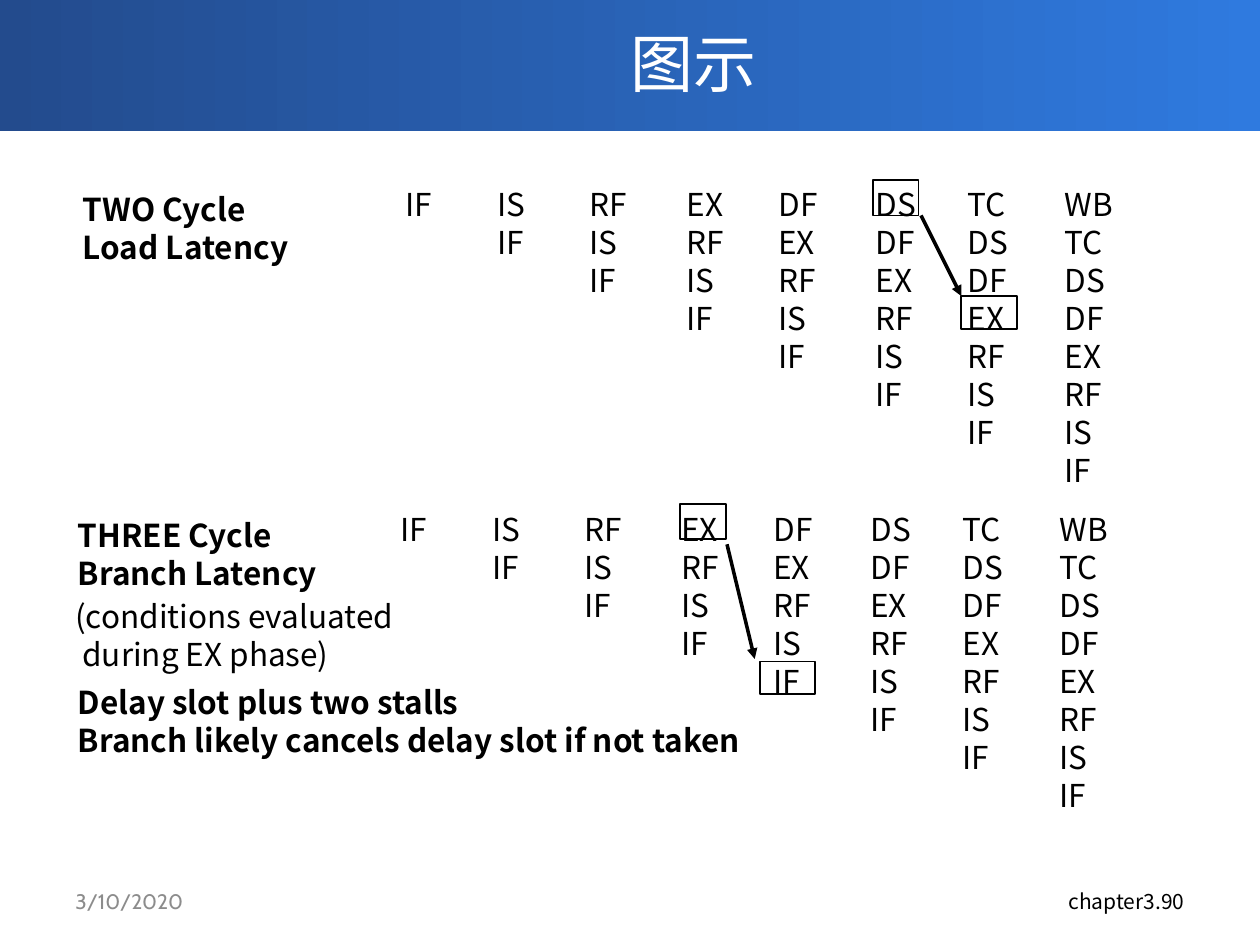
from lxml import etree
from pptx import Presentation
from pptx.dml.color import RGBColor
from pptx.enum.shapes import MSO_CONNECTOR, MSO_SHAPE
from pptx.enum.text import MSO_ANCHOR, MSO_AUTO_SIZE, PP_ALIGN
from pptx.oxml.ns import qn
from pptx.util import Inches, Pt

RECT, LINE = MSO_SHAPE.RECTANGLE, MSO_CONNECTOR.STRAIGHT
MID, TOP = MSO_ANCHOR.MIDDLE, MSO_ANCHOR.TOP
LEFT, MIDDLE, RIGHT = PP_ALIGN.LEFT, PP_ALIGN.CENTER, PP_ALIGN.RIGHT
GROW, FIXED = MSO_AUTO_SIZE.SHAPE_TO_FIT_TEXT, MSO_AUTO_SIZE.NONE

THEME = {
    "sans": "Noto Sans CJK SC", "date": "Cabin",
    "ink": "000000", "pale": "FFFFFF", "grey": "8C8C8C",
    "dark": "234B8D", "light": "2F7ADF",
    "head": 36, "text": 18, "foot": 12, "lead": 21.7,
}

TITLE = "图示"
FOOT = [
    ("3/10/2020", 0.5, LEFT, "date", "grey"),
    ("chapter3.90", 7.17, RIGHT, "sans", "ink"),
]
STAGES = ["IF", "IS", "RF", "EX", "DF", "DS", "TC", "WB"]
COLS = [0, 0.73, 1.46, 2.23, 2.96, 3.73, 4.46, 5.23]
WIDTHS = [0.42, 0.43, 0.5, 0.5, 0.53, 0.55, 0.55, 0.61]
ROW = 0.3
# Labels: lines, left, top, width, bold
PIPES = [
    {
        "at": (3.12, 1.4),
        "marks": [(6.93, 1.43, 0.36, 0.28), (7.63, 2.35, 0.44, 0.26)],
        "arrow": (7.31, 1.71, 7.63, 2.35),
        "labels": [(["TWO Cycle", "Load Latency"], 0.56, 1.44, 1.86, True)],
    },
    {
        "at": (3.08, 3.98),
        "marks": [(5.4, 4, 0.36, 0.28), (6.03, 5.25, 0.44, 0.26)],
        "arrow": (5.77, 4.32, 5.99, 5.23),
        "labels": [
            (["THREE Cycle", "Branch Latency"], 0.52, 4.02, 2.13, True),
            (["(conditions evaluated", " during EX phase)"],
             0.5, 4.67, 2.8, False),
            (["Delay slot plus two stalls",
              "Branch likely cancels delay slot if not taken"],
             0.52, 5.35, 5.66, True),
        ],
    },
]


def put(item, values):
    for name, value in values.items():
        setattr(item, name, value)


def tint(name):
    return RGBColor.from_string(THEME[name])


def span(*sizes):
    return [Inches(size) for size in sizes]


def write(shape, lines, size="text", face="sans", ink="ink", bold=False,
          align=LEFT, lead=None, **frame):
    body = shape.text_frame
    put(body, frame)
    for i, line in enumerate(lines):
        para = body.paragraphs[0] if i == 0 else body.add_paragraph()
        put(para, {"alignment": align, "line_spacing": lead,
                   "space_before": Pt(0), "space_after": Pt(0)})
        run = para.add_run()
        run.text = line
        put(run.font, {"name": THEME[face], "size": Pt(THEME[size]),
                       "bold": bold})
        run.font.color.rgb = tint(ink)
        east = etree.SubElement(run.font._element, qn("a:ea"))
        east.set("typeface", THEME[face])


def note(group, lines, left, top, width, bold=False):
    box = group.shapes.add_textbox(
        *span(left, top, width, 0.1 + ROW * len(lines)))
    write(box, lines, bold=bold, lead=Pt(THEME["lead"]), word_wrap=False,
          auto_size=GROW, vertical_anchor=TOP, margin_top=Inches(0.07),
          margin_bottom=Inches(0.03))


def arrow(group, ends):
    line = group.shapes.add_connector(LINE, *span(*ends))
    line.line.width = Pt(2)
    line.line.color.rgb = tint("ink")
    stroke = line.line._get_or_add_ln()
    etree.SubElement(stroke, qn("a:tailEnd"), type="triangle")
    etree.SubElement(line.element.spPr, qn("a:effectLst"))


def mark(group, place):
    box = group.shapes.add_shape(RECT, *span(*place))
    box.shadow.inherit = False
    box.fill.background()
    box.line.width = Pt(1)
    box.line.color.rgb = tint("ink")


def draw_pipe(slide, pipe):
    group = slide.shapes.add_group_shape()
    left, top = pipe["at"]
    for i, (step, width) in enumerate(zip(COLS, WIDTHS)):
        note(group, STAGES[i::-1], left + step, top, width)
    arrow(group, pipe["arrow"])
    for place in pipe["marks"]:
        mark(group, place)
    for label in pipe["labels"]:
        note(group, *label)


def draw_head(slide):
    title = slide.shapes.title
    place = dict(zip(("left", "top", "width", "height"), span(1, 0, 9, 0.99)))
    put(title, place)
    write(title, [TITLE], "head", ink="pale", align=MIDDLE,
          vertical_anchor=MID, auto_size=FIXED)
    band = slide.shapes.add_shape(RECT, *span(0, -0.03, 10, 1.07))
    band.shadow.inherit = False
    band.line.fill.background()
    band.fill.gradient()
    band.fill.gradient_angle = 0
    for stop, name, spot in zip(band.fill.gradient_stops,
                                ("dark", "light"), (0, 1)):
        stop.color.rgb = tint(name)
        stop.position = spot
    title.element.addprevious(band.element)


def main():
    deck = Presentation()
    put(deck, {"slide_width": Inches(10), "slide_height": Inches(7.5)})
    slide = deck.slides.add_slide(deck.slide_layouts[5])
    draw_head(slide)
    for text, left, align, face, ink in FOOT:
        box = slide.shapes.add_textbox(*span(left, 6.95, 2.33, 0.4))
        write(box, [text], "foot", face, ink, align=align, word_wrap=True,
              vertical_anchor=MID)
    for pipe in PIPES:
        draw_pipe(slide, pipe)
    deck.save("out.pptx")


if __name__ == "__main__":
    main()
